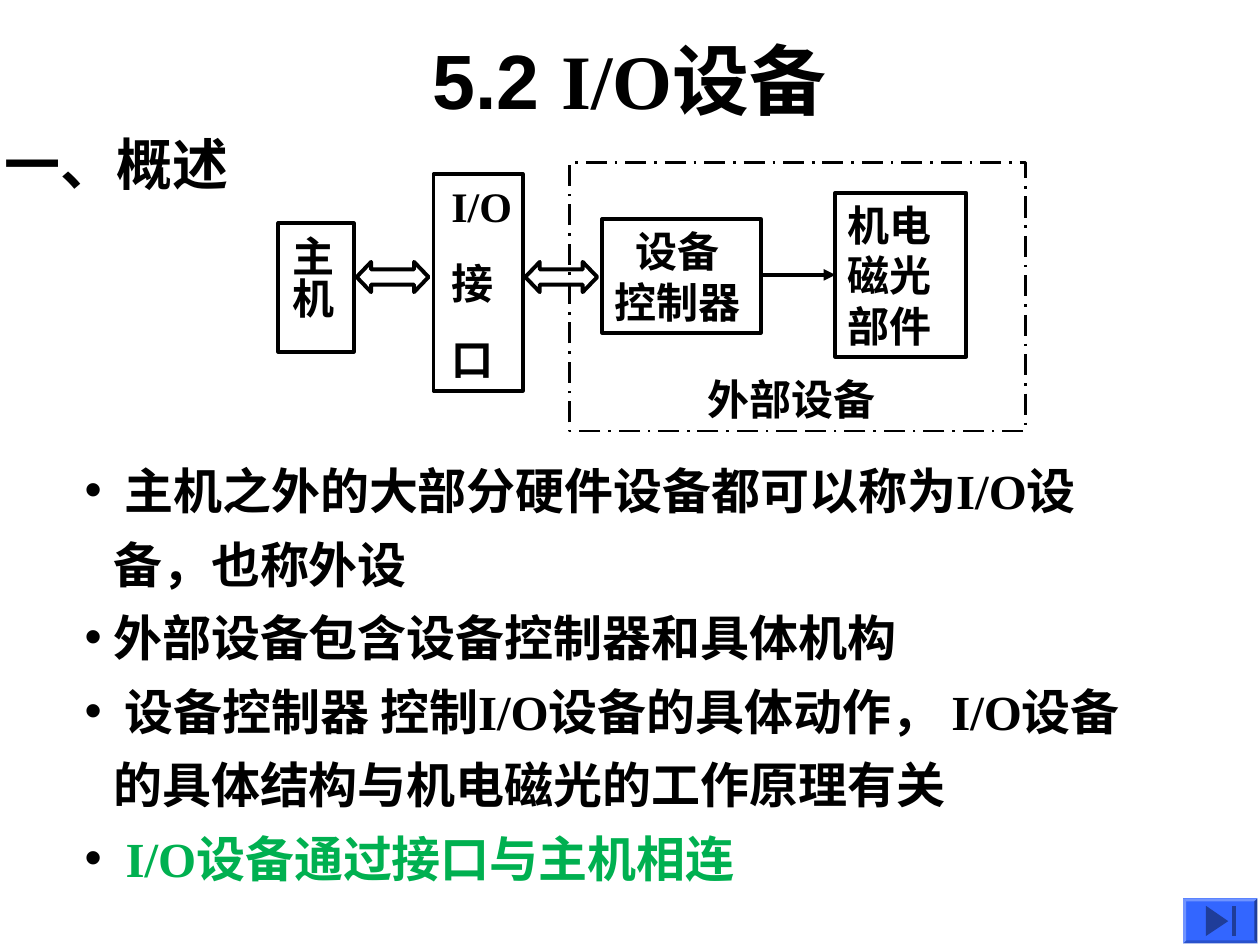
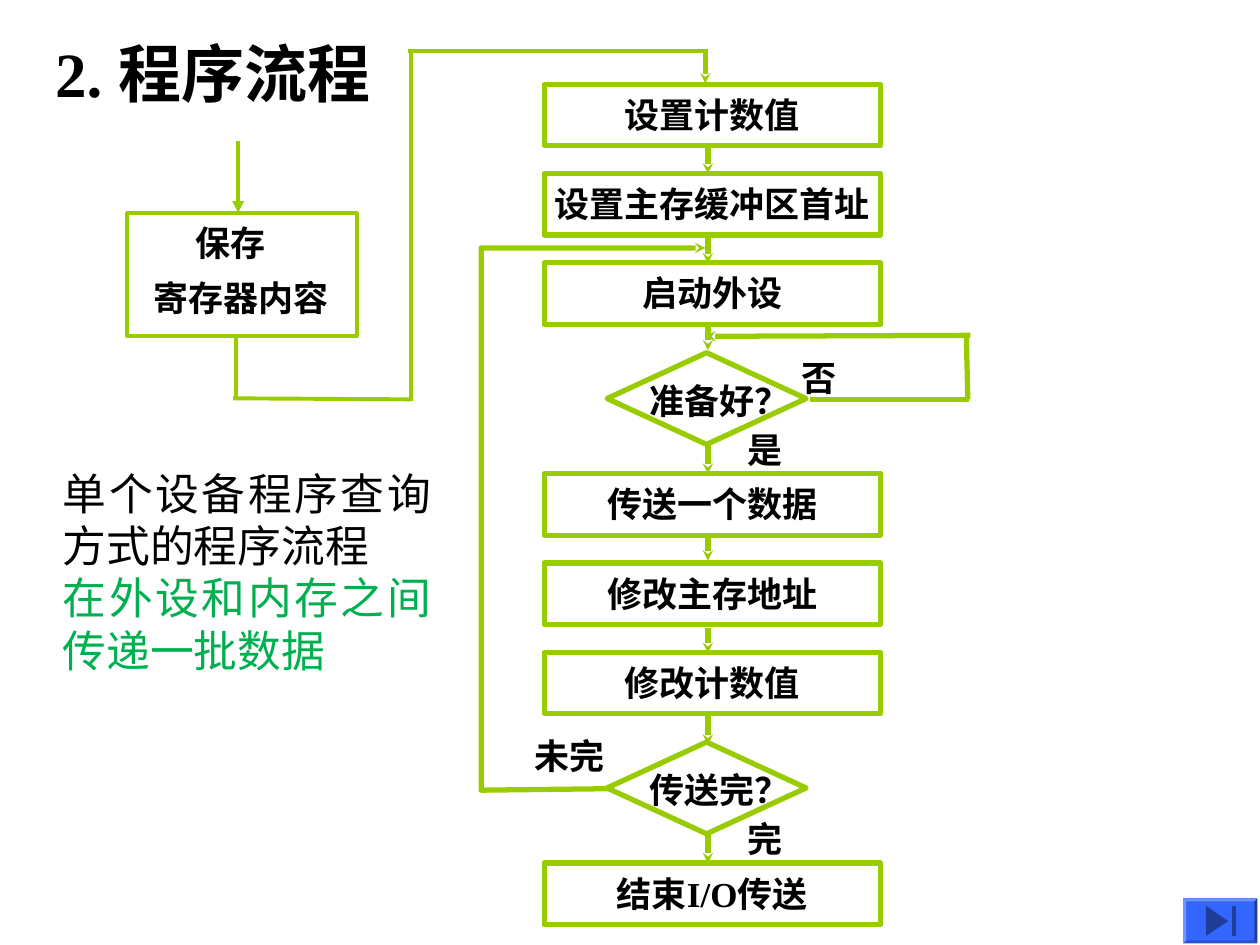
"""Build two slides on I/O devices and the program-polling flow."""
from dataclasses import dataclass
from typing import NamedTuple, Optional

import lxml.etree
import pptx
import pptx.dml.color
import pptx.enum.dml
import pptx.enum.shapes
import pptx.enum.text
import pptx.oxml.ns
import pptx.util

Cm = pptx.util.Cm
Pt = pptx.util.Pt
RGBColor = pptx.dml.color.RGBColor
Align = pptx.enum.text.PP_ALIGN
Anchor = pptx.enum.text.MSO_ANCHOR
Preset = pptx.enum.shapes.MSO_SHAPE
qn = pptx.oxml.ns.qn

BLACK = RGBColor(0x00, 0x00, 0x00)
GREEN = RGBColor(0x00, 0xB0, 0x50)
LIME = RGBColor(0x99, 0xCC, 0x00)
BUTTON_BLUE = RGBColor(0x33, 0x66, 0xFF)
BUTTON_LIGHT = RGBColor(0x70, 0x94, 0xFF)
BUTTON_SHADE = RGBColor(0x29, 0x52, 0xCC)
BUTTON_DARK = RGBColor(0x1F, 0x3D, 0x99)
SERIF = "Times New Roman"
SANS = "Arial"


class Box(NamedTuple):
    left: float
    top: float
    width: float
    height: float


class Insets(NamedTuple):
    left: float = 0.25
    top: float = 0.13
    right: float = 0
    bottom: float = 0.13


class Point(NamedTuple):
    x: float
    y: float


class Line(NamedTuple):
    text: str
    indent: float = 0
    color: RGBColor = BLACK


@dataclass(frozen=True)
class Style:
    size: float = 24
    bold: bool = True
    align: Align = Align.LEFT
    line_spacing: Optional[float] = None
    gap: float = 0
    anchor: Anchor = Anchor.TOP
    insets: Insets = Insets()


@dataclass(frozen=True)
class Node:
    box: Box
    lines: tuple[Line, ...] = ()
    style: Style = Style()
    preset: Preset = Preset.RECTANGLE
    vertical: bool = False


@dataclass(frozen=True)
class Stroke:
    start: Point
    end: Point
    weight: float = 3
    head: str = ""


DIAGRAM_LABEL = Style(gap=15)
FLOW_STEP = Style(20, align=Align.CENTER, anchor=Anchor.MIDDLE, insets=Insets(0.1, 0.1, 0.1, 0.13))
FLOW_LABEL = Style(20)


def place(shape, box: Box) -> None:
    """Move and size a shape."""
    shape.left, shape.top, shape.width, shape.height = map(Cm, box)


def format_font(font, size: float, bold: bool, color: RGBColor, name: str = SERIF) -> None:
    """Set the family, size, weight and colour of a font."""
    font.name, font.size, font.bold = name, Pt(size), bold
    font.color.rgb = color


def write_text(shape, lines: tuple[Line, ...], style: Style) -> None:
    """Fill a shape with formatted paragraphs."""
    frame = shape.text_frame
    frame.word_wrap = True
    frame.auto_size = pptx.enum.text.MSO_AUTO_SIZE.NONE
    frame.vertical_anchor = style.anchor
    frame.margin_left, frame.margin_top, frame.margin_right, frame.margin_bottom = map(Cm, style.insets)
    for index, line in enumerate(lines):
        paragraph = frame.add_paragraph() if index else frame.paragraphs[0]
        paragraph.text = line.text
        paragraph.alignment = style.align
        paragraph.space_before = Pt(style.gap if index else 0)
        if style.line_spacing:
            paragraph.line_spacing = style.line_spacing
        if line.indent:
            paragraph._p.get_or_add_pPr().set("marL", str(Cm(line.indent)))
        format_font(paragraph.font, style.size, style.bold, line.color)


def add_label(slide, box: Box, lines: tuple[Line, ...], style: Style) -> None:
    """Add a text box."""
    write_text(slide.shapes.add_textbox(*map(Cm, box)), lines, style)


def add_node(slide, node: Node, color: RGBColor, weight: float):
    """Add an outlined preset shape with its text."""
    shape = slide.shapes.add_shape(node.preset, *map(Cm, node.box))
    shape.shadow.inherit = False
    shape.fill.background()
    shape.line.color.rgb = color
    shape.line.width = Pt(weight)
    if node.lines:
        write_text(shape, node.lines, node.style)
    if node.vertical:
        next(shape.element.iter(qn("a:bodyPr"))).set("vert", "eaVert")
    return shape


def add_arrowhead(shape, head: str) -> None:
    """Put an arrowhead at the end of a line."""
    size = "sm" if head == "stealth" else "med"
    lxml.etree.SubElement(shape.line._get_or_add_ln(), qn("a:tailEnd"), type=head, w=size, len=size)


def add_stroke(slide, stroke: Stroke, color: RGBColor) -> None:
    """Add a straight line or arrow."""
    connector = slide.shapes.add_connector(
        pptx.enum.shapes.MSO_CONNECTOR.STRAIGHT, *map(Cm, stroke.start + stroke.end))
    connector.line.color.rgb = color
    connector.line.width = Pt(stroke.weight)
    lxml.etree.SubElement(connector._element.spPr, qn("a:effectLst"))
    if stroke.head:
        add_arrowhead(connector, stroke.head)


def add_outline(slide, points: list[Point], close: bool):
    """Add a freeform through the points."""
    corners = [tuple(map(Cm, point)) for point in points]
    builder = slide.shapes.build_freeform(*corners[0])
    builder.add_line_segments(corners[1:], close=close)
    shape = builder.convert_to_shape()
    shape.shadow.inherit = False
    return shape


def add_end_button(slide) -> None:
    """Draw the bevelled button that leads to the end."""
    left, top, right, bottom, bevel = 23.85, 18.11, 25.35, 19.02, 0.06
    outer = [Point(left, top), Point(right, top), Point(right, bottom), Point(left, bottom)]
    inner = [Point(left + bevel, top + bevel), Point(right - bevel, top + bevel),
             Point(right - bevel, bottom - bevel), Point(left + bevel, bottom - bevel)]
    faces = [(outer, BUTTON_BLUE)]
    for side, color in enumerate((BUTTON_LIGHT, BUTTON_DARK, BUTTON_SHADE, BUTTON_LIGHT)):
        following = (side + 1) % 4
        faces.append(([outer[side], outer[following], inner[following], inner[side]], color))
    faces.append(([Point(24.76, 18.57), Point(24.31, 18.87), Point(24.31, 18.26)], BUTTON_DARK))
    faces.append(([Point(24.84, 18.26), Point(24.84, 18.87), Point(24.92, 18.87), Point(24.92, 18.26)],
                  BUTTON_DARK))
    for points, color in faces:
        face = add_outline(slide, points, close=True)
        face.fill.solid()
        face.fill.fore_color.rgb = color
        face.line.fill.background()


def fill_bullets(placeholder) -> None:
    """Write the bulleted remarks about devices."""
    place(placeholder, Box(1.45, 8.86, 21.39, 9.14))
    remarks = (
        Line(" 主机之外的大部分硬件设备都可以称为I/O设备，也称外设", 0.58),
        Line("外部设备包含设备控制器和具体机构", 0.58),
        Line(" 设备控制器 控制I/O设备的具体动作， I/O设备的具体结构与机电磁光的工作原理有关", 0.58),
        Line(" I/O设备通过接口与主机相连", 0.58, GREEN),
    )
    for _ in remarks[1:]:
        placeholder.text_frame.add_paragraph()
    for paragraph, remark in zip(placeholder.text_frame.paragraphs, remarks):
        properties = paragraph._p.get_or_add_pPr()
        properties.set("marL", str(Cm(remark.indent)))
        properties.set("indent", str(-Cm(remark.indent)))
        bullet_color = lxml.etree.SubElement(properties, qn("a:buClr"))
        lxml.etree.SubElement(bullet_color, qn("a:srgbClr"), val=str(BLACK))
        lxml.etree.SubElement(properties, qn("a:buFont"), typeface=SANS)
        lxml.etree.SubElement(properties, qn("a:buChar"), char="•")
        paragraph.text = remark.text
        paragraph.line_spacing = 1.25
        paragraph.space_before = Pt(0)
        format_font(paragraph.font, 28, True, remark.color)
    frame = placeholder.text_frame
    frame.auto_size = pptx.enum.text.MSO_AUTO_SIZE.NONE
    frame.vertical_anchor = Anchor.TOP


def build_overview(presentation) -> None:
    """Build the slide that introduces I/O devices."""
    slide = presentation.slides.add_slide(presentation.slide_layouts[1])
    title = slide.shapes.title
    place(title, Box(1.9, 0, 21.59, 3.17))
    title.text_frame.vertical_anchor = Anchor.MIDDLE
    paragraph = title.text_frame.paragraphs[0]
    paragraph.alignment = Align.CENTER
    for text, name in (("5.2 ", SANS), ("I/O", SERIF), ("设备", SANS)):
        run = paragraph.add_run()
        run.text = text
        format_font(run.font, 44, True, BLACK, name)
    add_end_button(slide)
    add_label(slide, Box(-0.15, 2.49, 6.55, 1.63), (Line("一、概述"),), Style(32))

    nodes = (
        Node(Box(5.61, 4.5, 1.52, 2.59), (Line("主机"),),
             Style(insets=Insets(0.13, 0.25, 0.33, 0.25)), vertical=True),
        Node(Box(12.14, 4.42, 3.2, 2.29), (Line("设备", 0.42), Line("控制器"))),
        Node(Box(16.84, 3.89, 2.64, 3.3), (Line("机电"), Line("磁光"), Line("部件"))),
        Node(Box(8.74, 3.51, 1.8, 4.37), (Line("I/O"), Line("接"), Line("口")),
             Style(gap=15, insets=Insets(0.36))),
    )
    for node in nodes:
        add_node(slide, node, BLACK, 2.25)
    frame = add_node(slide, Node(Box(11.48, 3.28, 9.19, 5.41)), BLACK, 1.5)
    frame.line.dash_style = pptx.enum.dml.MSO_LINE.LONG_DASH_DOT
    add_label(slide, Box(14.02, 7.39, 5.79, 1.27), (Line("外部设备"),), DIAGRAM_LABEL)
    add_stroke(slide, Stroke(Point(15.34, 5.54), Point(16.84, 5.54), 2.25, "triangle"), BLACK)
    for left in (10.59, 7.19):
        arrow = add_node(slide, Node(Box(left, 5.28, 1.45, 0.61), preset=Preset.LEFT_RIGHT_ARROW), BLACK, 2.25)
        arrow.adjustments[1] = 0.48
    fill_bullets(slide.placeholders[1])


def build_flow(presentation) -> None:
    """Build the slide with the program flow chart."""
    slide = presentation.slides.add_slide(presentation.slide_layouts[5])
    place(slide.shapes.title, Box(0.86, 0.56, 7.16, 1.78))
    write_text(slide.shapes.title, (Line("2. 程序流程"),), Style(36))

    pitch = 1.8
    columns = ((1.7, ("设置计数值", "设置主存缓冲区首址", "启动外设")),
               (9.55, ("传送一个数据", "修改主存地址", "修改计数值")),
               (17.4, ("结束I/O传送",)))
    for first_top, steps in columns:
        for index, step in enumerate(steps):
            box = Box(10.97, first_top + index * pitch, 6.78, 1.24)
            add_node(slide, Node(box, (Line(step),), FLOW_STEP), LIME, 3)
    for top, question in ((7.11, "准备好？"), (14.96, "传送完？")):
        add_label(slide, Box(12.85, top + 0.41, 3.33, 1.12), (Line(question),), FLOW_LABEL)
        add_node(slide, Node(Box(12.24, top, 4.01, 1.85), preset=Preset.DIAMOND), LIME, 3)

    for start, end in ((2.97, 3.5), (4.8, 5.31), (6.55, 7.06), (8.92, 9.55), (10.77, 11.3),
                       (12.65, 13.16), (14.38, 15.01), (16.76, 17.4)):
        add_stroke(slide, Stroke(Point(14.27, start), Point(14.27, end), head="stealth"), LIME)

    loop = add_outline(slide, [Point(12.29, 15.9), Point(9.7, 15.93), Point(9.7, 5), Point(14.22, 5)], close=False)
    loop.fill.background()
    loop.line.color.rgb = LIME
    loop.line.width = Pt(3)
    add_arrowhead(loop, "stealth")
    for left, top, width, answer in ((10.52, 14.68, 1.91, "未完"), (14.81, 8.51, 1.22, "是"),
                                     (14.81, 16.36, 1.22, "完"), (15.9, 7.06, 1.22, "否")):
        add_label(slide, Box(left, top, width, 1.12), (Line(answer),), FLOW_LABEL)

    strokes = (
        Stroke(Point(16.33, 8.05), Point(19.53, 8.05)),
        Stroke(Point(19.51, 8.05), Point(19.48, 6.78)),
        Stroke(Point(19.56, 6.76), Point(14.22, 6.78), head="stealth"),
        Stroke(Point(14.22, 1.07), Point(14.22, 1.68), head="stealth"),
        Stroke(Point(4.75, 6.81), Point(4.75, 8.05), 2.25),
        Stroke(Point(4.7, 8.03), Point(8.28, 8.05), 2.25),
        Stroke(Point(8.28, 8.08), Point(8.28, 1.04), 2.25),
        Stroke(Point(8.23, 1.02), Point(14.27, 1.02), 2.25),
        Stroke(Point(4.8, 2.84), Point(4.8, 4.29), 2.25, "triangle"),
    )
    for stroke in strokes:
        add_stroke(slide, stroke, LIME)
    add_label(slide, Box(2.36, 4.09, 5.54, 2.69), (Line("保存", 1.33), Line("寄存器内容", 0.48)),
              Style(20, line_spacing=1.3))
    add_node(slide, Node(Box(2.57, 4.29, 4.62, 2.49)), LIME, 2.25)
    add_end_button(slide)
    add_label(slide, Box(1.02, 9.27, 7.92, 4.5),
              (Line("单个设备程序查询方式的程序流程"), Line("在外设和内存之间传递一批数据", color=GREEN)),
              Style(25, False, Align.JUSTIFY, insets=Insets(right=0.25)))


def main() -> None:
    """Build and save the presentation."""
    presentation = pptx.Presentation()
    presentation.slide_width, presentation.slide_height = Cm(25.4), Cm(19.05)
    build_overview(presentation)
    build_flow(presentation)
    presentation.save("out.pptx")


if __name__ == "__main__":
    main()
